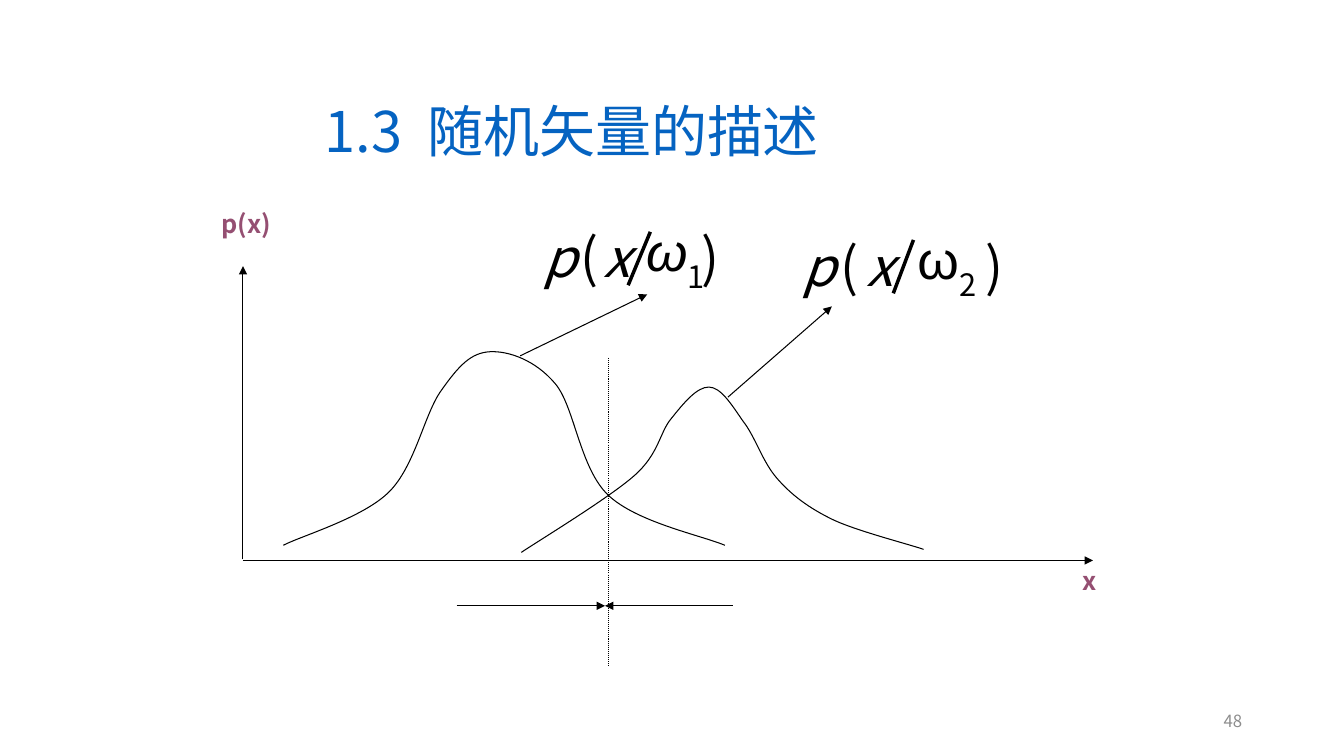
from lxml.etree import SubElement
from pptx import Presentation
from pptx.dml.color import RGBColor
from pptx.enum.dml import MSO_LINE_DASH_STYLE as Dash
from pptx.enum.shapes import MSO_CONNECTOR as Connector
from pptx.enum.text import MSO_ANCHOR as Anchor, MSO_AUTO_SIZE as AutoSize, PP_ALIGN as Align
from pptx.oxml.ns import qn
from pptx.util import Inches, Pt

COLORS = {"ink": "000000", "title": "0563C1", "axis": "954F72", "number": "8C8C8C"}
SANS = "Noto Sans CJK SC"

TITLE = ("1.3  随机矢量的描述", (3.12, 0.91, 8.19, 0.77))
AXIS_LABELS = [("x", (10.64, 5.56, 1.02, 0.4)), ("p(x)", (2.1, 2.02, 1.02, 0.4))]
PAGE_NUMBER = ("48", (9.42, 6.95, 3, 0.4))

ARROWS = [
    ((2.41, 5.55), (2.41, 2.64)),
    ((2.41, 5.56), (10.84, 5.56)),
    ((5.16, 3.53), (6.42, 2.92)),
    ((7.22, 3.94), (8.25, 3.04)),
    ((4.53, 6.01), (6, 6.01)),
    ((7.27, 6.01), (6, 6.01)),
]
BOUNDARY = ((6.04, 3.55), (6.04, 6.62))

DENSITY_CURVES = [
    [(2.81, 5.41), (2.98, 5.32), (3.6, 5.14), (3.86, 4.88),
     (4.12, 4.62), (4.21, 4.1), (4.38, 3.87),
     (4.55, 3.63), (4.67, 3.5), (4.86, 3.49),
     (5.04, 3.48), (5.31, 3.57), (5.51, 3.81),
     (5.7, 4.04), (5.75, 4.64), (6.03, 4.91),
     (6.31, 5.18), (6.95, 5.31), (7.19, 5.41)],
    [(5.17, 5.48), (5.35, 5.36), (6.04, 4.94), (6.29, 4.72),
     (6.54, 4.5), (6.54, 4.29), (6.66, 4.15),
     (6.78, 4), (6.91, 3.84), (7.03, 3.84),
     (7.15, 3.84), (7.26, 4.02), (7.37, 4.18),
     (7.49, 4.33), (7.56, 4.58), (7.71, 4.75),
     (7.85, 4.91), (8.02, 5.04), (8.27, 5.16),
     (8.51, 5.27), (8.98, 5.39), (9.16, 5.45)],
]

FORMULAS = [
    {"top": 2.23, "slash": (6.45, 6.23), "omega_italic": True,
     "glyphs": [(")", 6.96), ("(", 5.76), ("1", 6.82), ("ω", 6.41), ("x", 5.99), ("p", 5.39)]},
    {"top": 2.31, "slash": (9.06, 8.86), "omega_italic": False,
     "glyphs": [(")", 9.77), ("(", 8.34), ("2", 9.52), ("ω", 9.1), ("x", 8.59), ("p", 7.96)]},
]
GLYPH_WIDTHS = {"ω": 0.36, "x": 0.23, "p": 0.31}


def add_text(shapes, text, box, size, color, font_name=SANS, bold=False, italic=False,
             align=Align.LEFT, anchor=Anchor.TOP, tight=False, grow=True):
    shape = shapes.add_textbox(*map(Inches, box))
    frame = shape.text_frame
    frame.text = text
    frame.word_wrap = not tight
    frame.auto_size = AutoSize.SHAPE_TO_FIT_TEXT if grow else AutoSize.NONE
    frame.vertical_anchor = anchor
    if tight:
        frame.margin_left = frame.margin_right = frame.margin_top = frame.margin_bottom = 0
    paragraph = frame.paragraphs[0]
    paragraph.alignment = align
    run = paragraph.runs[0]
    font = run.font
    font.size, font.bold, font.italic = Pt(size), bold, italic
    font.color.rgb = RGBColor.from_string(COLORS[color])
    font.name = font_name
    SubElement(font._element, qn("a:ea"), typeface=font_name)


def add_line(shapes, start, end, width=0.75, arrow=False, dash=None):
    connector = shapes.add_connector(Connector.STRAIGHT, *map(Inches, start + end))
    connector.line.color.rgb = RGBColor.from_string(COLORS["ink"])
    connector.line.width = Pt(width)
    if dash:
        connector.line.dash_style = dash
    if arrow:
        SubElement(connector.line._get_or_add_ln(), qn("a:tailEnd"), type="triangle")
    SubElement(connector._element.spPr, qn("a:effectLst"))


def add_curve(shapes, points):
    builder = shapes.build_freeform(*points[0], scale=Inches(1) / 1.0)
    builder = shapes.build_freeform(*map(Inches, points[0]))
    builder.add_line_segments([tuple(map(Inches, point)) for point in points[1:]], close=False)
    shape = builder.convert_to_shape()
    shape.shadow.inherit = False
    shape.fill.background()
    shape.line.color.rgb = RGBColor.from_string(COLORS["ink"])
    shape.line.width = Pt(0.75)
    outline = shape._element.spPr.find(".//" + qn("a:path"))
    segments = outline.findall(qn("a:lnTo"))
    for first in range(0, len(segments), 3):
        bezier = SubElement(outline, qn("a:cubicBezTo"))
        for segment in segments[first:first + 3]:
            bezier.append(segment[0])
            outline.remove(segment)


def add_formula(shapes, formula):
    group = shapes.add_group_shape().shapes
    top = formula["top"]
    slash_top, slash_bottom = formula["slash"]
    add_line(group, (slash_top, top + 0.07), (slash_bottom, top + 0.6), width=2.5)
    for glyph, left in formula["glyphs"]:
        subscript, omega = glyph.isdigit(), glyph == "ω"
        offset = 0.33 if subscript else -0.06 if omega else 0
        box = (left, top + offset, GLYPH_WIDTHS.get(glyph, 0.16), 0.37 if subscript else 0.64)
        italic = formula["omega_italic"] if omega else glyph in "xp"
        add_text(group, glyph, box, 22 if subscript else 38, "ink",
                 font_name="Arial" if omega else SANS, italic=italic, tight=True)


def main():
    presentation = Presentation()
    presentation.slide_width, presentation.slide_height = Inches(13.33), Inches(7.5)
    slide = presentation.slides.add_slide(presentation.slide_layouts[6])
    shapes = slide.shapes

    add_text(shapes, *PAGE_NUMBER, 12, "number", align=Align.RIGHT, anchor=Anchor.MIDDLE, grow=False)
    for points in DENSITY_CURVES:
        add_curve(shapes, points)
    for start, end in ARROWS:
        add_line(shapes, start, end, arrow=True)
    add_line(shapes, *BOUNDARY, dash=Dash.ROUND_DOT)
    add_text(shapes, *TITLE, 40, "title")
    for text, box in AXIS_LABELS:
        add_text(shapes, text, box, 18, "axis", bold=True)
    for formula in FORMULAS:
        add_formula(shapes, formula)
    presentation.save("out.pptx")


if __name__ == "__main__":
    main()
